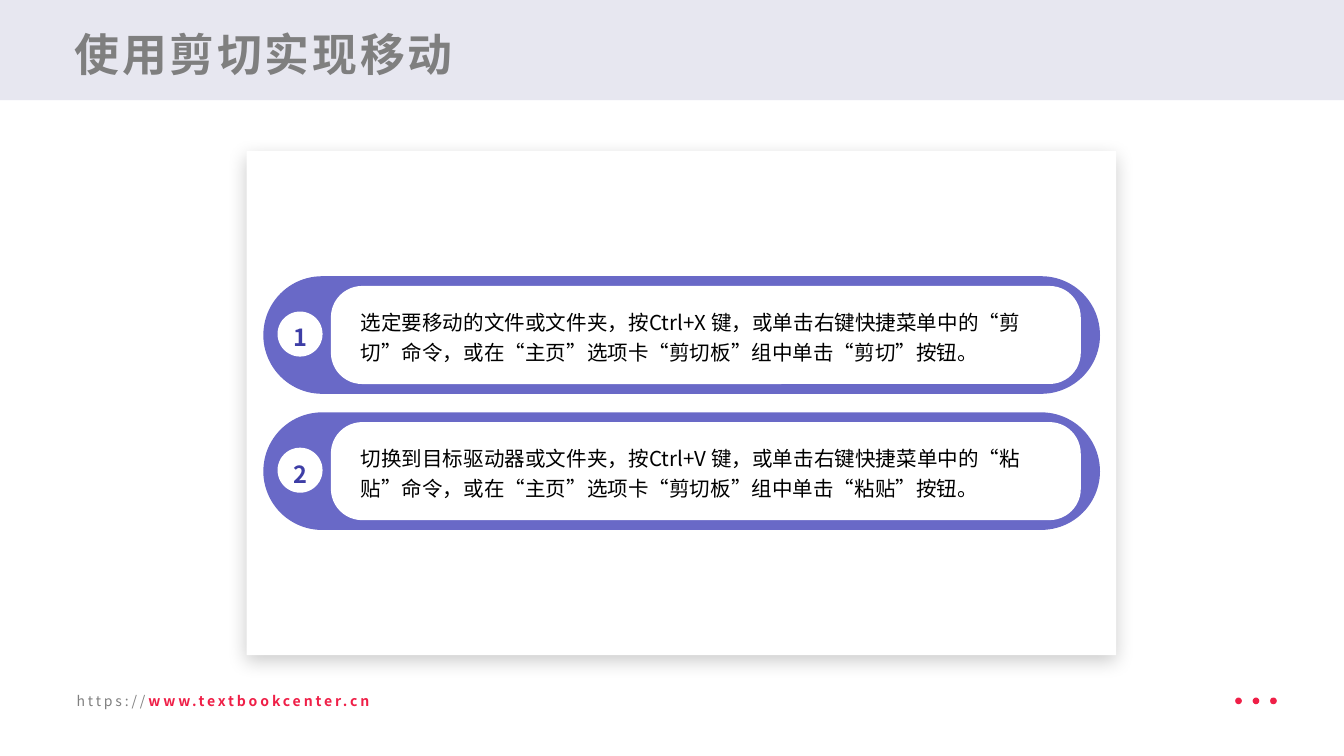
"""Build a slide on moving files with cut and paste, on a square grid 100 columns wide."""
from lxml.etree import SubElement as Sub
from pptx import Presentation
from pptx.dml.color import RGBColor as RGB
from pptx.enum.shapes import MSO_SHAPE as Kind
from pptx.enum.text import MSO_ANCHOR as Anchor, MSO_AUTO_SIZE as Auto, PP_ALIGN as Align
from pptx.oxml.ns import qn
from pptx.util import Inches, Pt

FONT = "Noto Sans CJK SC"
HUES = {
    "band": "E7E7F0", "title": "7F7F7F", "white": "FFFFFF", "black": "000000",
    "link": "808080", "red": "EF1F47", "pill": "6969C7", "num": "3E3EA6",
}
STEPS = [
    "选定要移动的文件或文件夹，按Ctrl+X 键，或单击右键快捷菜单中的“剪切”命令，或在“主页”选项卡“剪切板”组中单击“剪切”按钮。",
    "切换到目标驱动器或文件夹，按Ctrl+V 键，或单击右键快捷菜单中的“粘贴”命令，或在“主页”选项卡“剪切板”组中单击“粘贴”按钮。",
]

deck = Presentation()
deck.slide_width = Inches(10)
deck.slide_height = deck.slide_width * 9 // 16
slide = deck.slides.add_slide(deck.slide_layouts[5])
shapes = slide.shapes
cell = deck.slide_width // 100


def draw(kind, hue, x, y, w, h, bend=None):
    item = shapes.add_shape(kind, *(int(n * cell) for n in (x, y, w, h)))
    item.shadow.inherit = False
    item.fill.solid()
    item.fill.fore_color.rgb = RGB.from_string(HUES[hue])
    item.line.fill.background()
    if bend is not None:
        item.adjustments[0] = bend
    return item


def write(item, grid, parts, size, hue, bold=False, anchor=Anchor.MIDDLE,
          align=Align.LEFT, space=1, pad=(0.1, 0.05), track=0):
    item.left, item.top, item.width, item.height = (int(n * cell) for n in grid)
    frame = item.text_frame
    frame.word_wrap, frame.auto_size = True, Auto.NONE
    frame.vertical_anchor = anchor
    frame.margin_left = frame.margin_right = Inches(pad[0])
    frame.margin_top = frame.margin_bottom = Inches(pad[1])
    para = frame.paragraphs[0]
    para.alignment, para.line_spacing = align, space
    font = para.font
    font.name, font.size, font.bold = FONT, Pt(size), bold
    font.color.rgb = RGB.from_string(HUES[hue])
    props = para._p.pPr.find(qn("a:defRPr"))
    props.set("spc", str(int(track * 100)))
    Sub(props, qn("a:ea"), typeface=FONT)
    for part in parts:
        para.add_run().text = part
    return para


band = draw(Kind.RECTANGLE, "band", 0, 0, 100, 7.45)
shapes.title.element.addprevious(band.element)
write(shapes.title, (4.95, 1.3, 90, 5), ["使用剪切实现移动"], 24, "title", bold=True,
      anchor=Anchor.BOTTOM, pad=(0.06, 0.03), track=1.5)

card = draw(Kind.RECTANGLE, "white", 18.35, 11.25, 64.7, 37.5)
glow = Sub(card.element.spPr.find(qn("a:effectLst")), qn("a:outerShdw"),
           blurRad=str(Pt(10)), dist=str(Pt(3)), dir="5400000", algn="t", rotWithShape="0")
tint = Sub(glow, qn("a:srgbClr"), val=HUES["black"])
Sub(tint, qn("a:alpha"), val="20000")

link = write(shapes.add_textbox(0, 0, cell, cell), (5, 51.2, 23.8, 1.9),
             ["https://", "www.textbookcenter.cn"], 7.5, "link", pad=(0.07, 0.03), track=1.5)
site = link.runs[1].font
site.bold = True
site.color.rgb = RGB.from_string(HUES["red"])

for i in range(3):
    draw(Kind.OVAL, "red", 91.9 + 1.3 * i, 51.9, 0.5, 0.5)

for i, step in enumerate(STEPS):
    top = 20.55 + 10.13 * i
    draw(Kind.ROUNDED_RECTANGLE, "pill", 19.6, top, 62.25, 8.75, 0.5)
    draw(Kind.ROUNDED_RECTANGLE, "white", 24.62, top + 0.73, 55.8, 7.3, 0.32)
    write(shapes.add_textbox(0, 0, cell, cell), (25.85, top + 1.35, 52.9, 6),
          [step], 11, "black", space=1.2)
    draw(Kind.OVAL, "white", 20.65, top + 2.63, 3.35, 3.35)
    write(shapes.add_textbox(0, 0, cell, cell), (19.95, top + 2.45, 4.8, 3.8),
          [str(i + 1)], 12.6, "num", bold=True, align=Align.CENTER, space=1.2)

deck.save("out.pptx")
